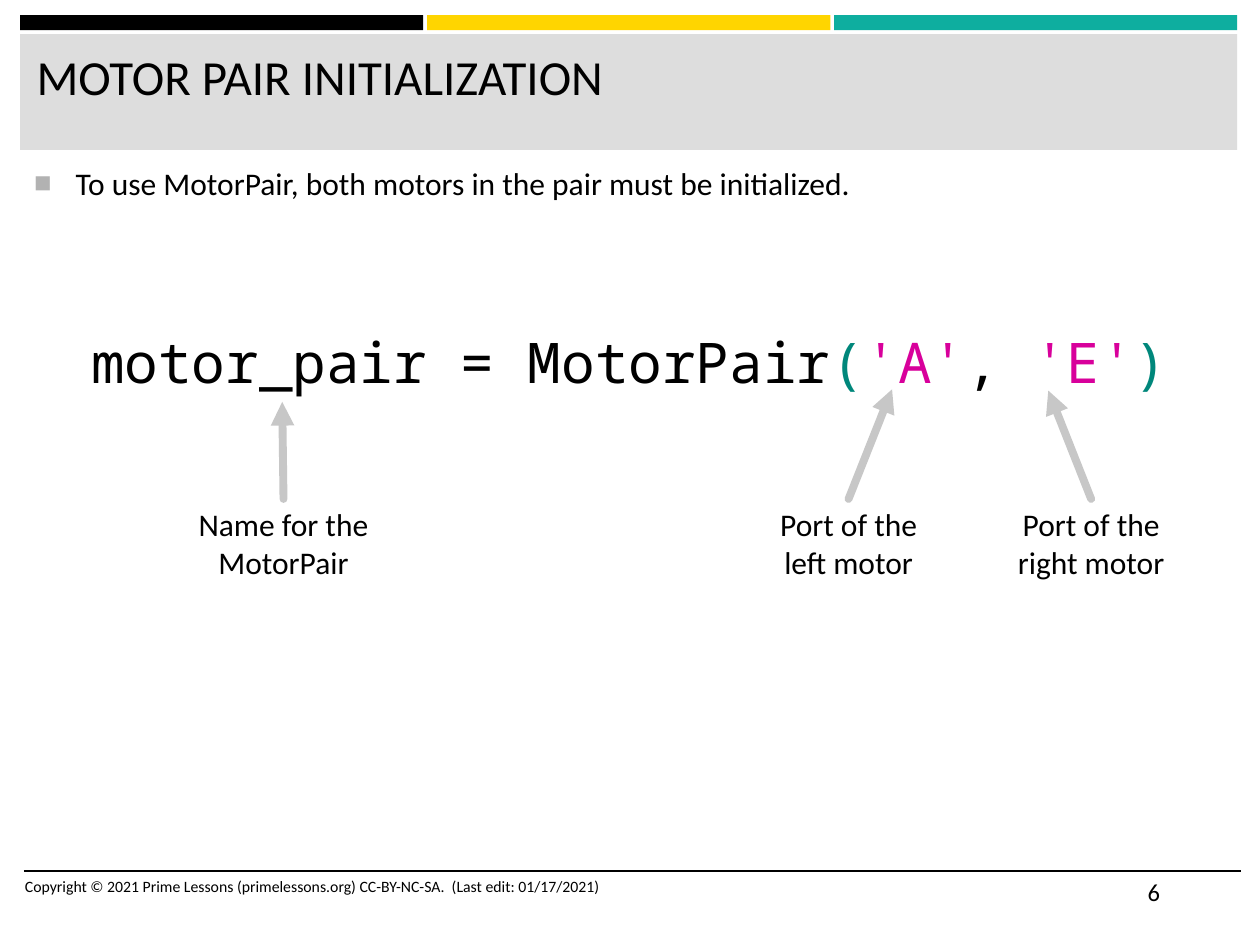
from dataclasses import dataclass

from lxml import etree
from pptx import Presentation
from pptx.dml.color import RGBColor
from pptx.enum import shapes, text
from pptx.oxml import ns
from pptx.util import Inches, Pt


@dataclass(frozen=True)
class Theme:
    black: str = "000000"
    yellow: str = "FFD500"
    teal: str = "0EAE9F"
    band: str = "DDDDDD"
    bullet: str = "B2B2B2"
    arrow: str = "C7C7C7"
    bracket: str = "00877B"
    string: str = "D8009B"
    font: str = "Calibri"
    code_font: str = "Noto Sans Mono"
    title_size: int = 28
    code_size: int = 32
    body_size: int = 18
    number_size: int = 14
    footer_size: int = 9


theme = Theme()


def write(sp, content, size, font=theme.font, align=text.PP_ALIGN.LEFT):
    """Fill a text shape with one paragraph of (string, colour) runs."""
    tf = sp.text_frame
    tf.word_wrap = True
    tf.auto_size = text.MSO_AUTO_SIZE.NONE
    tf.vertical_anchor = text.MSO_ANCHOR.TOP
    p = tf.paragraphs[0]
    p.alignment = align
    for string, color in content:
        r = p.add_run()
        r.text = string
        r.font.name = font
        r.font.size = Pt(size)
        r.font.color.rgb = RGBColor.from_string(color)
    return p


def add_line(s, start, end, color, width):
    line = s.shapes.add_connector(
        shapes.MSO_CONNECTOR.STRAIGHT, *(Inches(v) for v in start + end))
    line.line.color.rgb = RGBColor.from_string(color)
    line.line.width = Pt(width)
    etree.SubElement(line._element.spPr, ns.qn("a:effectLst"))
    return line


prs = Presentation()
prs.slide_width, prs.slide_height = Inches(10), Inches(7.5)
s = prs.slides.add_slide(prs.slide_layouts[1])
title, body = s.shapes.title, s.placeholders[1]

# Header stripes and title band
stripe_step = 3.23
bars = [(0.16 + i * stripe_step, 0.12, 3.2, 0.12, color)
        for i, color in enumerate((theme.black, theme.yellow, theme.teal))]
bars.append((0.16, 0.27, 9.66, 0.92, theme.band))
for *box, color in bars:
    sp = s.shapes.add_shape(shapes.MSO_SHAPE.RECTANGLE, *(Inches(v) for v in box))
    sp.shadow.inherit = False
    sp.fill.solid()
    sp.fill.fore_color.rgb = RGBColor.from_string(color)
    sp.line.fill.background()

add_line(s, (0.19, 6.91), (9.85, 6.91), theme.black, 1)

# Title and body, brought in front of the band
for sp, box in ((title, (0.19, 0.32, 9.57, 0.82)), (body, (0.17, 1.25, 9.66, 5.56))):
    sp.left, sp.top, sp.width, sp.height = (Inches(v) for v in box)
    s.shapes._spTree.append(sp._element)

write(title, [("MOTOR PAIR INITIALIZATION", theme.black)], theme.title_size)
p = write(body, [("To use MotorPair, both motors in the pair must be initialized.",
                  theme.black)], theme.body_size)
p.space_before, p.space_after = Pt(0), Pt(6)
pPr = p._p.get_or_add_pPr()
pPr.set("marL", str(Inches(0.33)))
pPr.set("indent", str(-Inches(0.33)))
bullet_color = etree.SubElement(pPr, ns.qn("a:buClr"))
etree.SubElement(bullet_color, ns.qn("a:srgbClr"), val=theme.bullet)
etree.SubElement(pPr, ns.qn("a:buSzPct"), val="92000")
etree.SubElement(pPr, ns.qn("a:buChar"), char="■")

# Code line, labels and footer
code = [("motor_pair = MotorPair", theme.black), ("(", theme.bracket),
        ("'A'", theme.string), (", ", theme.black),
        ("'E'", theme.string), (")", theme.bracket)]
center, left = text.PP_ALIGN.CENTER, text.PP_ALIGN.LEFT
label_top = 3.96
labels = [("Name for the MotorPair", 1.41, 1.68),
          ("Port of the left motor", 5.99, 1.49),
          ("Port of the right motor", 7.82, 1.68)]
footer = "Copyright © 2021 Prime Lessons (primelessons.org) CC-BY-NC-SA.  (Last edit: 01/17/2021)"
boxes = [
    ((0.1, 6.91, 5.33, 0.4), [(footer, theme.black)], theme.footer_size, theme.font, left),
    ((9.01, 6.91, 0.84, 0.4), [("6", theme.black)], theme.number_size, theme.font, left),
    ((0.38, 2.55, 9.23, 0.64), code, theme.code_size, theme.code_font, center),
]
boxes += [((x, label_top, width, 0.71), [(label, theme.black)],
           theme.body_size, theme.font, center) for label, x, width in labels]
for box, content, size, font, align in boxes:
    sp = s.shapes.add_textbox(*(Inches(v) for v in box))
    write(sp, content, size, font, align)

# Arrows from the labels to the code
arrow_tips = [(2.24, 3.19), (7.08, 3.09), (8.32, 3.1)]
for (label, x, width), tip in zip(labels, arrow_tips):
    arrow = add_line(s, (x + width / 2, label_top), tip, theme.arrow, 4.5)
    ln = arrow.line._get_or_add_ln()
    ln.set("cap", "rnd")
    etree.SubElement(ln, ns.qn("a:tailEnd"), type="triangle")

prs.save("out.pptx")
